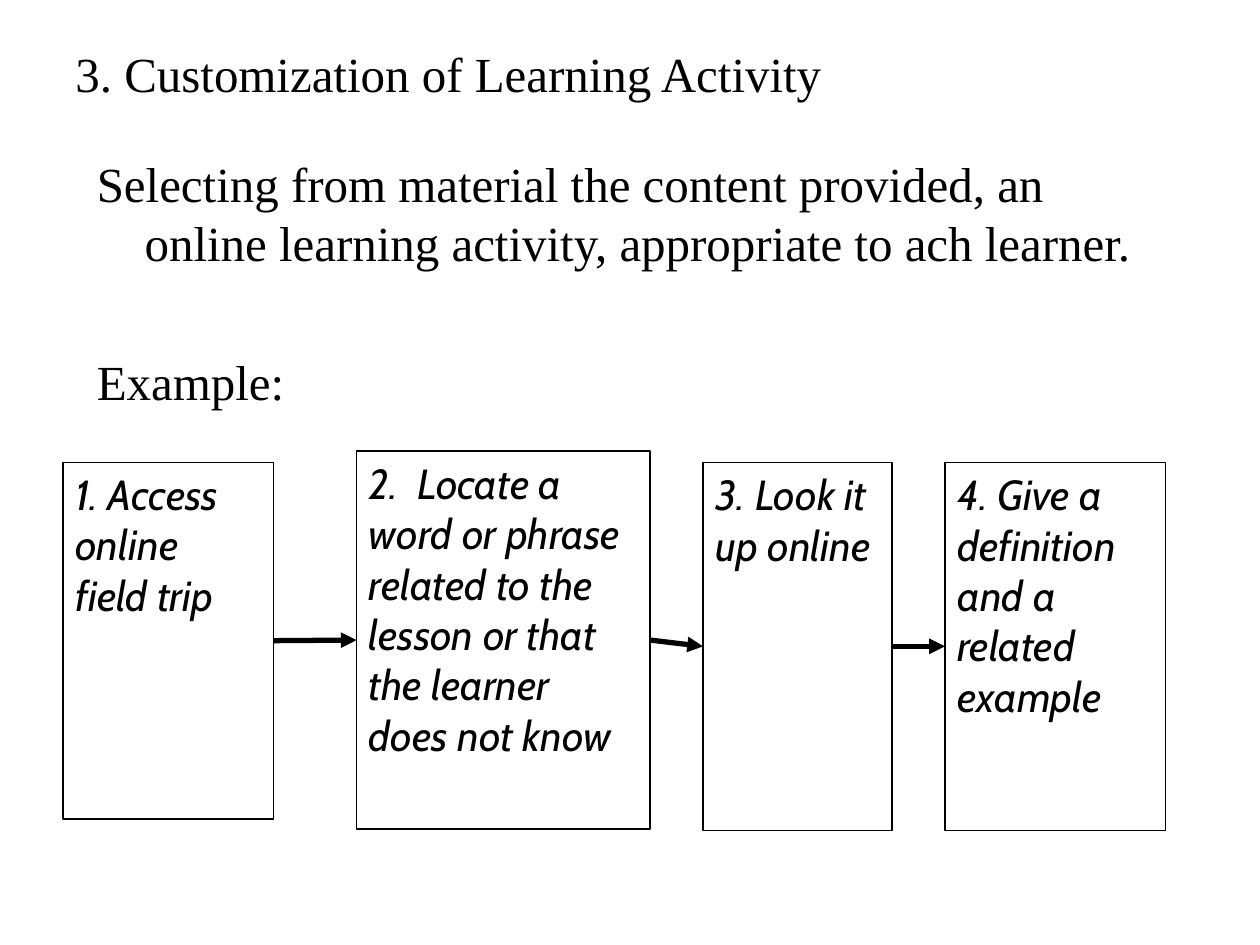
from itertools import pairwise

from lxml import etree
from pptx import Presentation
from pptx.dml.color import RGBColor
from pptx.enum import shapes, text
from pptx.oxml import ns
from pptx.util import Inches, Pt

COLORS = {"ink": "000000", "paper": "FFFFFF"}
HEADING = "3. Customization of Learning Activity"
# wording, space before in points
BODY = [
    ("Selecting from material the content provided, an online learning activity, "
     "appropriate to ach learner.", 7),
    ("Example:", 46),
]
# wording, left, top, width, height
STEPS = [
    ("1. Access online\nfield trip", 0.5, 3.67, 1.67, 2.83),
    ("2.  Locate a word or phrase related to the lesson or that the learner "
     "does not know", 2.83, 3.58, 2.33, 3),
    ("3. Look it up online", 5.58, 3.67, 1.5, 2.92),
    ("4. Give a definition and a related example", 7.5, 3.67, 1.75, 2.92),
]
HANGING = 0.38
LEFT_SITE, RIGHT_SITE = 1, 3


def color(name):
    return RGBColor.from_string(COLORS[name])


def write(paragraph, wording, font, size, italic=False):
    paragraph.alignment = text.PP_ALIGN.LEFT
    for index, line in enumerate(wording.split("\n")):
        if index:
            paragraph.add_line_break()
        run = paragraph.add_run()
        run.text = line
        run.font.name = font
        run.font.size = Pt(size)
        run.font.italic = italic
        run.font.color.rgb = color("ink")


def add_frame(slide, left, top, width, height, anchor):
    box = slide.shapes.add_textbox(*map(Inches, (left, top, width, height)))
    frame = box.text_frame
    frame.word_wrap = True
    frame.vertical_anchor = anchor
    return frame


def add_step(slide, wording, *place):
    step = slide.shapes.add_shape(
        shapes.MSO_SHAPE.FLOWCHART_PROCESS, *map(Inches, place))
    step.shadow.inherit = False
    step.fill.solid()
    step.fill.fore_color.rgb = color("paper")
    step.line.color.rgb = color("ink")
    step.line.width = Pt(0.75)
    frame = step.text_frame
    frame.word_wrap = True
    frame.vertical_anchor = text.MSO_ANCHOR.TOP
    write(frame.paragraphs[0], wording, "Cabin", 24, italic=True)
    return step


def add_arrow(slide, before, after):
    arrow = slide.shapes.add_connector(shapes.MSO_CONNECTOR.STRAIGHT, 0, 0, 0, 0)
    arrow.begin_connect(before, RIGHT_SITE)
    arrow.end_connect(after, LEFT_SITE)
    arrow.line.color.rgb = color("ink")
    arrow.line.width = Pt(3)
    etree.SubElement(arrow.line._get_or_add_ln(), ns.qn("a:tailEnd"), type="triangle")
    etree.SubElement(arrow._element.spPr, ns.qn("a:effectLst"))


def main():
    deck = Presentation()
    deck.slide_width, deck.slide_height = Inches(10), Inches(7.5)
    slide = deck.slides.add_slide(deck.slide_layouts[6])

    heading = add_frame(slide, 0.5, 0.33, 8.5, 0.5, text.MSO_ANCHOR.MIDDLE)
    write(heading.paragraphs[0], HEADING, "Times New Roman", 28)

    body = add_frame(slide, 0.67, 1.17, 8.5, 4.5, text.MSO_ANCHOR.TOP)
    for index, (wording, space) in enumerate(BODY):
        paragraph = body.add_paragraph() if index else body.paragraphs[0]
        write(paragraph, wording, "Times New Roman", 28)
        paragraph.space_before = Pt(space)
        properties = paragraph._p.get_or_add_pPr()
        properties.set("marL", str(Inches(HANGING)))
        properties.set("indent", str(-Inches(HANGING)))

    steps = [add_step(slide, *step) for step in STEPS]
    for before, after in pairwise(steps):
        add_arrow(slide, before, after)

    deck.save("out.pptx")


if __name__ == "__main__":
    main()
